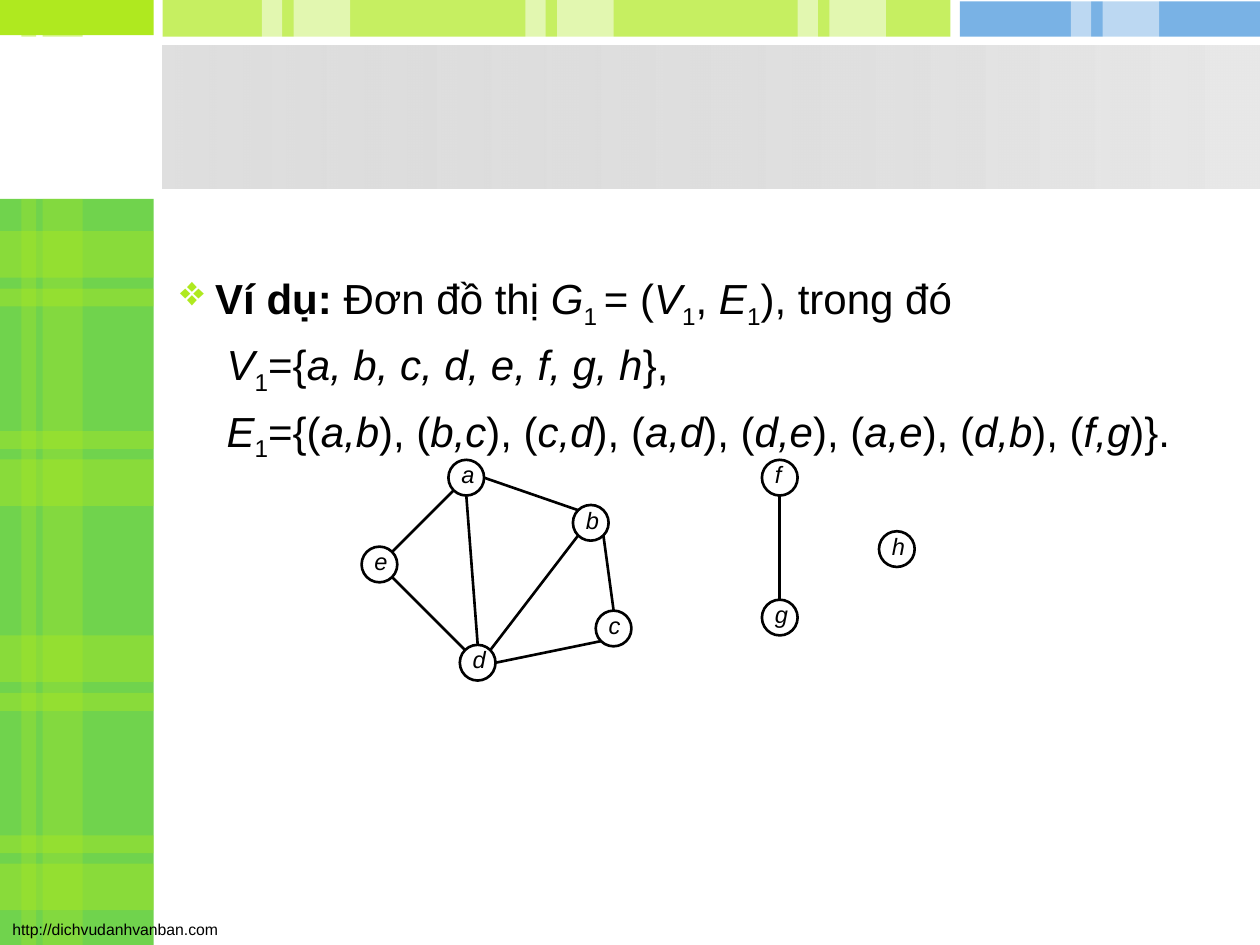
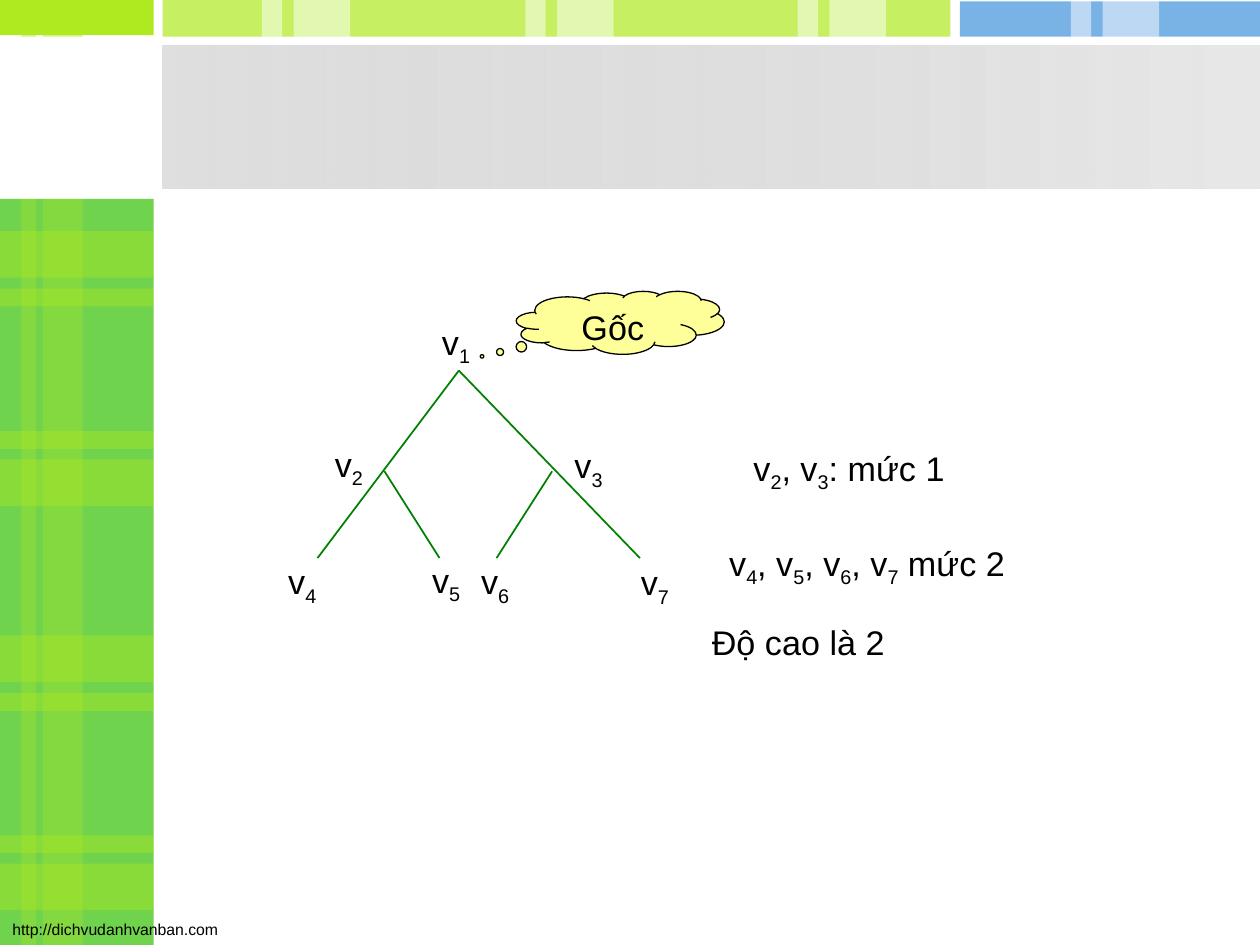
from math import cos, radians, sin

from lxml import etree
from pptx import Presentation
from pptx.dml.color import RGBColor
from pptx.enum import shapes, text
from pptx.oxml import ns
from pptx.util import Cm, Pt

COLORS = {
    "lime": "AFE91F", "green": "70D34D", "blue": "4192DB", "white": "FFFFFF",
    "silver": "C0C0C0", "mist": "E8E8E8", "black": "000000",
    "branch": "008000", "cloud": "FFFF99",
}
FONT = "Arial"
FOOTER = "http://dichvudanhvanban.com"

# Graph G1: vertex centres in cm
RADIUS = 0.36
VERTICES = {
    "a": (9.4, 9.63), "b": (11.91, 10.54), "c": (12.37, 12.67), "d": (9.63, 13.36),
    "e": (7.65, 11.38), "f": (15.72, 9.63), "g": (15.72, 12.45), "h": (18.08, 11.07),
}
# Each edge: its vertices and the clockwise angle at which it leaves each of them
EDGES = [
    ("a", 0, "b", 225), ("b", 45, "c", 270), ("c", 135, "d", 0), ("a", 90, "d", 270),
    ("d", 225, "e", 45), ("a", 135, "e", 315), ("d", 315, "b", 135), ("f", 90, "g", 270),
]

# Tree: places in cm
BRANCHES = [
    (9.25, 7.47, 6.4, 11.25), (9.25, 7.47, 12.9, 11.25),
    (7.75, 9.5, 8.86, 11.25), (11.13, 9.5, 10.01, 11.25),
]
TREE_LABELS = [
    (8.66, 6.35), (6.5, 8.81), (11.33, 8.84), (5.56, 11.18),
    (8.46, 11.15), (9.45, 11.18), (12.67, 11.2),
]


def rgb(name):
    return RGBColor.from_string(COLORS[name])


def set_alpha(color_element, percent):
    etree.SubElement(color_element, ns.qn("a:alpha"), val=str(percent * 1000))


def on_rim(vertex, angle):
    x, y = VERTICES[vertex]
    return x + RADIUS * cos(radians(angle)), y + RADIUS * sin(radians(angle))


def subscripted(*indices):
    """Runs for v with each index, separated by commas."""
    runs = []
    for position, index in enumerate(indices):
        runs += [(", v" if position else "v", ""), (str(index), "s")]
    return runs


class Deck:
    def __init__(self):
        self.prs = Presentation()
        self.prs.slide_width, self.prs.slide_height = Cm(25.4), Cm(19.05)
        self.slide = None

    def new_slide(self):
        self.slide = self.prs.slides.add_slide(self.prs.slide_layouts[6])
        self.frame()

    def shape(self, kind, x, y, w, h, fill=None, alpha=None, line=None, weight=1):
        item = self.slide.shapes.add_shape(kind, Cm(x), Cm(y), Cm(w), Cm(h))
        item.shadow.inherit = False
        if fill:
            item.fill.solid()
            item.fill.fore_color.rgb = rgb(fill)
            if alpha:
                set_alpha(item._element.spPr.find(".//" + ns.qn("a:srgbClr")), alpha)
        else:
            item.fill.background()
        if line:
            item.line.color.rgb = rgb(line)
            item.line.width = Pt(weight)
        else:
            item.line.fill.background()
        return item

    def rect(self, x, y, w, h, fill, alpha=None):
        return self.shape(shapes.MSO_SHAPE.RECTANGLE, x, y, w, h, fill, alpha)

    def line(self, x1, y1, x2, y2, color, weight):
        item = self.slide.shapes.add_connector(
            shapes.MSO_CONNECTOR.STRAIGHT, Cm(x1), Cm(y1), Cm(x2), Cm(y2))
        item.line.color.rgb = rgb(color)
        item.line.width = Pt(weight)
        etree.SubElement(item._element.spPr, ns.qn("a:effectLst"))

    def runs(self, paragraph, parts, size):
        """Add (text, style) parts; style letters: b bold, i italic, s subscript."""
        for words, style in parts:
            run = paragraph.add_run()
            run.text = words
            run.font.name, run.font.size = FONT, Pt(size)
            run.font.bold, run.font.italic = "b" in style, "i" in style
            run.font.color.rgb = rgb("black")
            if "s" in style:
                run.font._element.set("baseline", "-25000")

    def textbox(self, x, y, w, h, parts, size, wrap=True, inset=None):
        frame = self.slide.shapes.add_textbox(Cm(x), Cm(y), Cm(w), Cm(h)).text_frame
        frame.word_wrap = wrap
        if inset is not None:
            frame.margin_left = frame.margin_right = Cm(inset)
            frame.margin_top = frame.margin_bottom = Cm(inset)
        self.runs(frame.paragraphs[0], parts, size)
        return frame

    def indent(self, paragraph, left, bullet=None):
        props = paragraph._p.get_or_add_pPr()
        props.set("marL", str(Cm(left)))
        props.set("indent", str(-Cm(left) if bullet else 0))
        if bullet:
            color = etree.SubElement(props, ns.qn("a:buClr"))
            etree.SubElement(color, ns.qn("a:srgbClr"), val=COLORS["lime"])
            etree.SubElement(props, ns.qn("a:buChar"), char=bullet)
        paragraph.alignment = text.PP_ALIGN.JUSTIFY
        paragraph.line_spacing = 0.85

    def frame(self):
        """Plaid side band, top strips, title band and footer."""
        side = 3.1
        self.rect(0, 4.01, side, 15.04, "green")
        self.rect(0, 0, side, 0.71, "lime")
        for start in (0, 8.15):
            for y, height in ((4.66, 0.94), (5.82, 0.36), (8.69, 0.36), (9.26, 0.94)):
                self.rect(0, start + y, side, height, "lime", 40)
        for x, width in ((0.43, 0.3), (0.86, 0.81)):
            self.rect(x, 4.01, width, 15.04, "lime", 30)
            self.rect(x, 0, width, 0.74, "lime", 50)
        self.rect(3.28, 0, 15.88, 0.74, "lime", 70)
        self.rect(19.35, 0.03, 6.05, 0.71, "blue", 70)
        for x in (5.28, 10.59, 16.08, 21.59):
            self.rect(x, 0, 0.41, 0.79, "white", 50)
            self.rect(x + 0.64, 0, 1.14, 0.79, "white", 50)

        title_band = self.rect(3.28, 0.91, 22.12, 2.9, "silver")
        title_band.fill.gradient()
        title_band.fill.gradient_angle = 0
        for stop, color in zip(title_band.fill.gradient_stops, ("silver", "mist")):
            stop.color.rgb = rgb(color)
        set_alpha(title_band._element.spPr.find(".//" + ns.qn("a:srgbClr")), 50)
        self.textbox(0, 18.42, 4.7, 0.64, [(FOOTER, "")], 9, wrap=False)

    def vertex(self, name):
        x, y = VERTICES[name]
        self.shape(shapes.MSO_SHAPE.OVAL, x - RADIUS, y - RADIUS, 2 * RADIUS, 2 * RADIUS,
                   line="black", weight=1.5)
        self.textbox(x - 0.13, y - 0.38, 0.33, 0.61, [(name, "i")], 13.5,
                     wrap=False, inset=0.03)


def graph_slide(deck):
    deck.new_slide()
    example = [
        ("Ví dụ: ", "b"), ("Đơn đồ thị ", ""), ("G", "i"), ("1 ", "s"), ("= (", ""),
        ("V", "i"), ("1", "s"), (", ", ""), ("E", "i"), ("1", "s"), ("), trong đó", ""),
    ]
    vertex_set = [("V", "i"), ("1", "s"), ("={", ""), (", ".join(VERTICES), "i"), ("},", "")]
    edge_set = [("E", "i"), ("1", "s"), ("={(", "")]
    for position, (start, _, end, _) in enumerate(EDGES):
        pair = "d,b" if (start, end) == ("d", "b") else ",".join(sorted((start, end)))
        edge_set += [("), (", "")] if position else []
        edge_set.append((pair, "i"))
    edge_set.append((")}.", ""))

    body = deck.textbox(3.38, 5.43, 20.75, 10.74, example, 24)
    deck.indent(body.paragraphs[0], 0.71, "❖")
    for parts in (vertex_set, edge_set):
        paragraph = body.add_paragraph()
        deck.indent(paragraph, 0.94)
        paragraph.space_before = Pt(10)
        deck.runs(paragraph, parts, 24)

    for name in VERTICES:
        deck.vertex(name)
    for start, start_angle, end, end_angle in EDGES:
        deck.line(*on_rim(start, start_angle), *on_rim(end, end_angle), "black", 1.5)


def tree_slide(deck):
    deck.new_slide()
    for branch in BRANCHES:
        deck.line(*branch, "branch", 1)
    for index, (x, y) in enumerate(TREE_LABELS, start=1):
        deck.textbox(x, y, 1.45, 1.04, subscripted(index), 19.5)

    root = deck.shape(shapes.MSO_SHAPE.CLOUD_CALLOUT, 10.41, 5.87, 4.19, 1.27,
                      "cloud", line="black", weight=0.75)
    root.adjustments[0], root.adjustments[1] = -0.665, 0.536
    root.text_frame.vertical_anchor = text.MSO_ANCHOR.TOP
    root.text_frame.paragraphs[0].alignment = text.PP_ALIGN.CENTER
    deck.runs(root.text_frame.paragraphs[0], [("Gốc", "")], 19.5)

    for x, y, width, note in (
        (14.94, 8.89, 5.13, subscripted(2, 3) + [(": mức 1", "")]),
        (14.45, 10.8, 7.04, subscripted(4, 5, 6, 7) + [(" mức 2", "")]),
        (14.1, 12.4, 4.95, [("Độ cao là 2", "")]),
    ):
        deck.textbox(x, y, width, 1.09, note, 19.5)


def main():
    deck = Deck()
    graph_slide(deck)
    tree_slide(deck)
    deck.prs.save("out.pptx")


if __name__ == "__main__":
    main()
